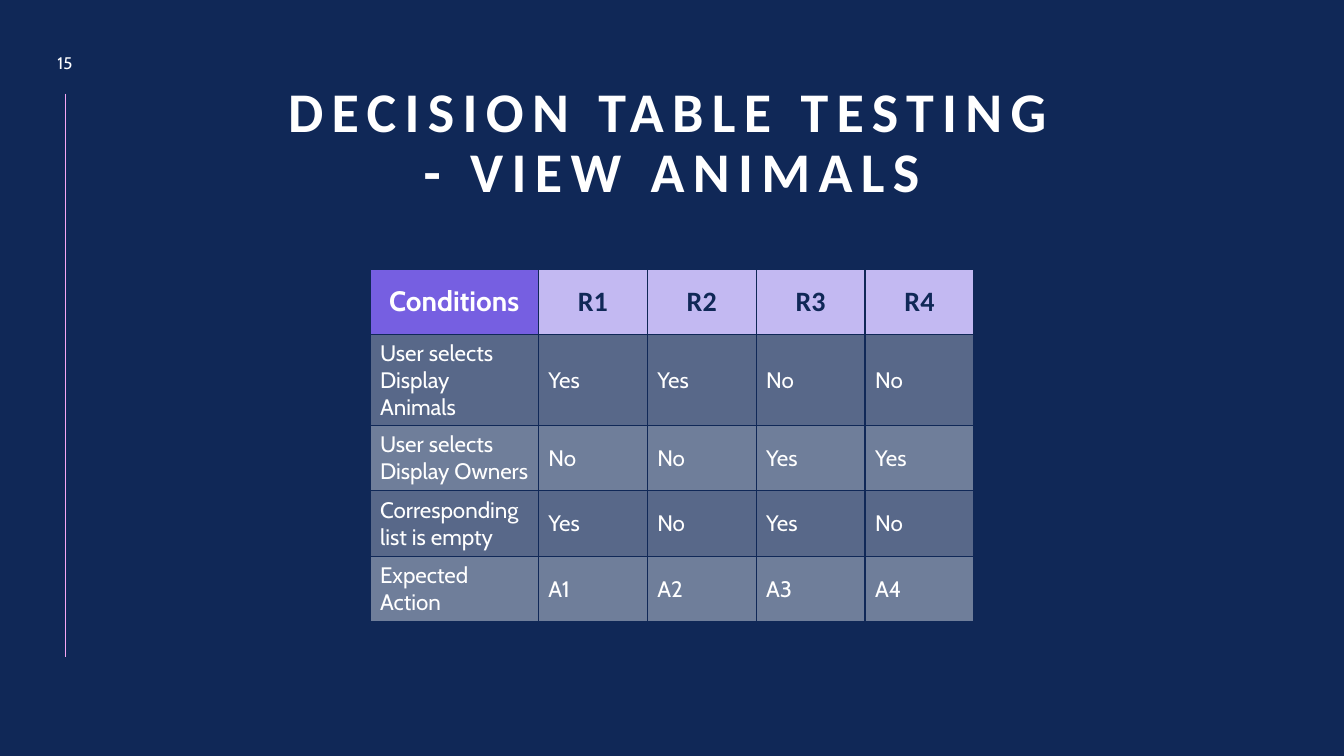
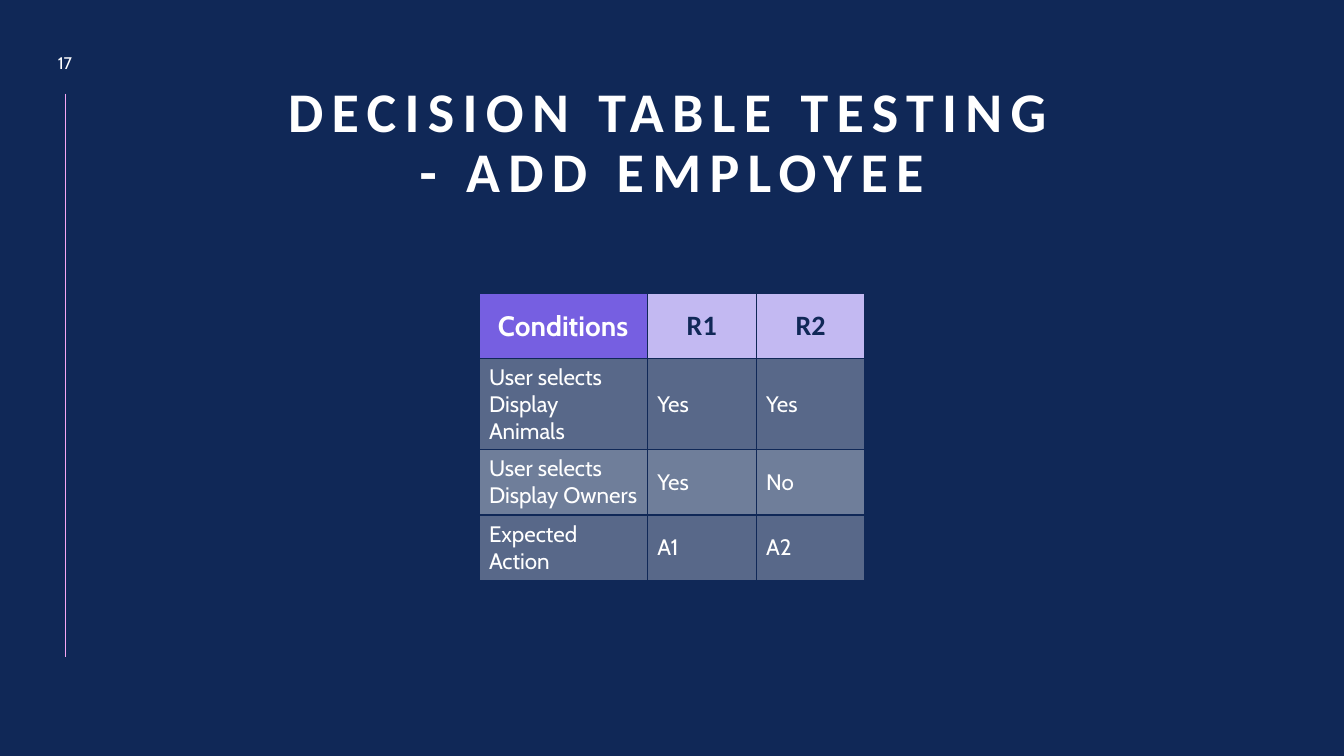
from pptx import Presentation
from pptx.dml.color import RGBColor
from pptx.enum.shapes import MSO_CONNECTOR
from pptx.enum.text import MSO_ANCHOR, PP_ALIGN
from pptx.oxml import parse_xml
from pptx.oxml.ns import nsdecls, qn
from pptx.oxml.xmlchemy import OxmlElement
from pptx.util import Inches, Pt

NAVY = RGBColor(0x10, 0x28, 0x57)
WHITE = RGBColor(0xFF, 0xFF, 0xFF)
PURPLE = RGBColor(0x76, 0x5F, 0xE1)
LAVENDER = RGBColor(0xC3, 0xB9, 0xF2)
PINK = RGBColor(0xF6, 0xA6, 0xF4)
HEADING_FONT, BODY_FONT = "Calibri", "Cabin"

SLIDE_WIDTH, SLIDE_HEIGHT = Inches(13.33), Inches(7.5)
FIRST_COLUMN, RULE_COLUMN, ROW_HEIGHT = Inches(1.67), Inches(1.08), Inches(0.65)
BAND_OPACITY = (30, 40)

SLIDES = [
    {
        "number": "15",
        "title": "DECISION TABLE TESTING\v- VIEW ANIMALS",
        "table_top": Inches(2.67),
        "rows": [
            ("Conditions", "R1", "R2", "R3", "R4"),
            ("User selects Display Animals", "Yes", "Yes", "No", "No"),
            ("User selects Display Owners", "No", "No", "Yes", "Yes"),
            ("Corresponding list is empty", "Yes", "No", "Yes", "No"),
            ("Expected Action", "A1", "A2", "A3", "A4"),
        ],
    },
    {
        "number": "17",
        "title": "DECISION TABLE TESTING\v- ADD EMPLOYEE",
        "table_top": Inches(2.91),
        "rows": [
            ("Conditions", "R1", "R2"),
            ("User selects Display Animals", "Yes", "Yes"),
            ("User selects Display Owners", "Yes", "No"),
            ("Expected Action", "A1", "A2"),
        ],
    },
]


def style_runs(paragraph, size, font_name, color, bold=False, spacing=None):
    for run in paragraph.runs:
        font = run.font
        font.size, font.name, font.bold = Pt(size), font_name, bold
        font.color.rgb = color
        if spacing:
            font._element.set("spc", str(spacing * 100))


def add_centred_text(slide, box, content, anchor):
    text_frame = slide.shapes.add_textbox(*map(Inches, box)).text_frame
    text_frame.word_wrap = True
    text_frame.vertical_anchor = anchor
    paragraph = text_frame.paragraphs[0]
    paragraph.text = content
    paragraph.alignment = PP_ALIGN.CENTER
    return paragraph


def add_frame(slide, number, title):
    """Add what every slide shares: background, side line, number and title."""
    slide.background.fill.solid()
    slide.background.fill.fore_color.rgb = NAVY

    side_line = slide.shapes.add_connector(
        MSO_CONNECTOR.STRAIGHT, Inches(0.65), Inches(0.93), Inches(0.65), Inches(6.52))
    side_line.line.color.rgb = PINK
    side_line.line.width = Pt(0.5)
    side_line._element.spPr.append(OxmlElement("a:effectLst"))

    heading = add_centred_text(slide, (1.2, 0.91, 10.93, 1.17), title, MSO_ANCHOR.BOTTOM)
    heading.line_spacing = 0.9
    style_runs(heading, 40, HEADING_FONT, WHITE, bold=True, spacing=6)

    page = add_centred_text(slide, (0.36, 0.45, 0.57, 0.34), number, MSO_ANCHOR.MIDDLE)
    style_runs(page, 12, BODY_FONT, WHITE)


def paint_cell(cell, color, opacity=100):
    """Draw the cell's borders, then its fill, in the order the schema asks for."""
    properties = cell._tc.get_or_add_tcPr()
    for side in ("lnL", "lnR", "lnT", "lnB"):
        properties.append(parse_xml(
            f'<a:{side} {nsdecls("a")} w="{Pt(1)}"><a:solidFill>'
            f'<a:srgbClr val="{NAVY}"/></a:solidFill></a:{side}>'))
    cell.fill.solid()
    cell.fill.fore_color.rgb = color
    if opacity < 100:
        alpha = OxmlElement("a:alpha")
        alpha.set("val", str(opacity * 1000))
        properties.find(qn("a:solidFill"))[0].append(alpha)


def add_decision_table(slide, top, rows):
    rule_count = len(rows[0]) - 1
    width = FIRST_COLUMN + rule_count * RULE_COLUMN
    table = slide.shapes.add_table(
        len(rows), rule_count + 1, (SLIDE_WIDTH - width) // 2, top,
        width, ROW_HEIGHT * len(rows)).table
    for index, column in enumerate(table.columns):
        column.width = RULE_COLUMN if index else FIRST_COLUMN

    for row_index, row in enumerate(rows):
        for column_index, content in enumerate(row):
            cell = table.cell(row_index, column_index)
            cell.vertical_anchor = MSO_ANCHOR.MIDDLE
            paragraph = cell.text_frame.paragraphs[0]
            paragraph.text = content
            if row_index:
                paint_cell(cell, WHITE, BAND_OPACITY[(row_index - 1) % 2])
                style_runs(paragraph, 16, BODY_FONT, WHITE)
                continue
            paragraph.alignment = PP_ALIGN.CENTER
            if column_index:
                paint_cell(cell, LAVENDER)
                style_runs(paragraph, 20, HEADING_FONT, NAVY, bold=True)
            else:
                paint_cell(cell, PURPLE)
                style_runs(paragraph, 20, BODY_FONT, WHITE, bold=True)


def main():
    presentation = Presentation()
    presentation.slide_width, presentation.slide_height = SLIDE_WIDTH, SLIDE_HEIGHT
    for content in SLIDES:
        slide = presentation.slides.add_slide(presentation.slide_layouts[6])
        add_frame(slide, content["number"], content["title"])
        add_decision_table(slide, content["table_top"], content["rows"])
    presentation.save("out.pptx")


if __name__ == "__main__":
    main()
